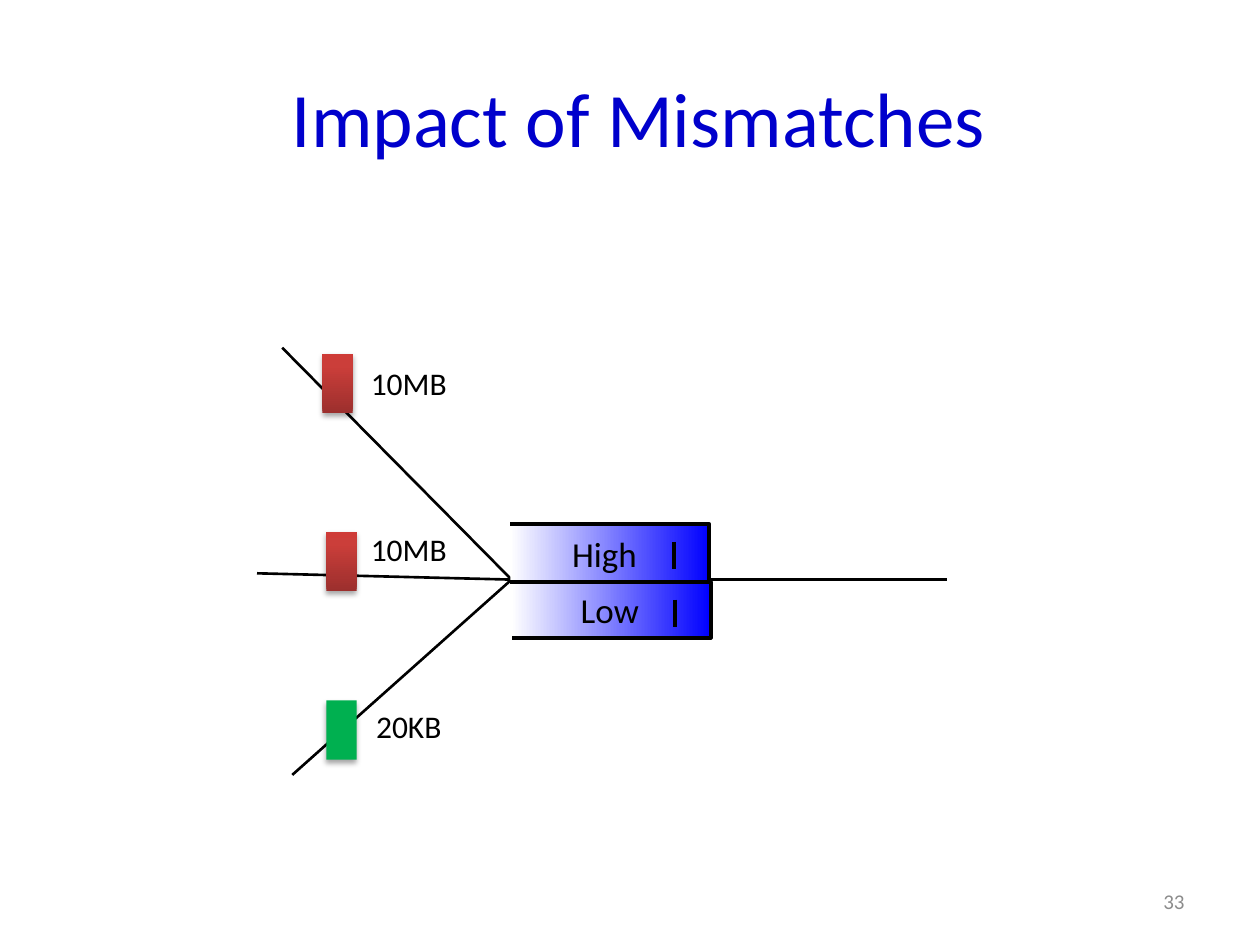
from lxml import etree
from pptx import Presentation
from pptx.dml.color import RGBColor
from pptx.enum import shapes, text
from pptx.oxml import ns
from pptx.util import Inches, Pt

BLACK = RGBColor(0x00, 0x00, 0x00)
WHITE = RGBColor(0xFF, 0xFF, 0xFF)
BLUE = RGBColor(0x00, 0x00, 0xFF)
TITLE_BLUE = RGBColor(0x00, 0x00, 0xCC)
GREEN = RGBColor(0x00, 0xB0, 0x50)
GREY = RGBColor(0x8C, 0x8C, 0x8C)
QUEUE_STOPS = [(0, WHITE), (100, BLUE)]
RED_STOPS = [(0, RGBColor(0x9C, 0x2F, 0x2D)), (80, RGBColor(0xCB, 0x3E, 0x3A)),
             (100, RGBColor(0xCE, 0x3B, 0x37))]

LEFT, CENTER, RIGHT = text.PP_ALIGN.LEFT, text.PP_ALIGN.CENTER, text.PP_ALIGN.RIGHT
TOP, MIDDLE = text.MSO_ANCHOR.TOP, text.MSO_ANCHOR.MIDDLE


def add_element(parent, tag, **attributes):
    values = {name: str(value) for name, value in attributes.items()}
    return etree.SubElement(parent, ns.qn(tag), values)


class Sketch:
    def __init__(self, page, font="Calibri"):
        self.page = page
        self.font = font

    def label(self, words, area, size, color=BLACK, align=CENTER, anchor=TOP):
        box = self.page.shapes.add_textbox(*map(Inches, area))
        frame = box.text_frame
        for name, value in {"word_wrap": True, "vertical_anchor": anchor}.items():
            setattr(frame, name, value)
        para = frame.paragraphs[0]
        para.alignment = align
        span = para.add_run()
        span.text = words
        for name, value in {"name": self.font, "size": Pt(size)}.items():
            setattr(span.font, name, value)
        span.font.color.rgb = color

    def line(self, start, end, width=1.5):
        line = self.page.shapes.add_connector(
            shapes.MSO_CONNECTOR.STRAIGHT, *map(Inches, (*start, *end)))
        line.line.color.rgb = BLACK
        line.line.width = Pt(width)
        add_element(line._element.spPr, "a:effectLst")

    def gradient(self, shape, stops, angle):
        """Fill with (percent, color) stops; angle is counter-clockwise."""
        shape.fill.gradient()
        shape.fill.gradient_angle = angle
        stop_list = shape._element.spPr.find(".//" + ns.qn("a:gsLst"))
        for old in list(stop_list):
            stop_list.remove(old)
        for percent, color in stops:
            stop = add_element(stop_list, "a:gs", pos=percent * 1000)
            add_element(stop, "a:srgbClr", val=color)

    def queue(self, left, top, width, height):
        """Draw a buffer that is open on its left side, with a slot mark."""
        right, bottom = left + width, top + height
        builder = self.page.shapes.build_freeform(Inches(left), Inches(top))
        corners = [(right, top), (right, bottom), (left, bottom)]
        builder.add_line_segments(
            [(Inches(x), Inches(y)) for x, y in corners], close=False)
        shape = builder.convert_to_shape()
        shape.shadow.inherit = False
        self.gradient(shape, QUEUE_STOPS, 0)
        shape.line.color.rgb = BLACK
        shape.line.width = Pt(2.25)
        mark = right - 0.28
        self.line((mark, top + 0.14), (mark, top + 0.36), 2.25)

    def packet(self, left, top, color=None):
        """Draw a flow's packet: plain if a color is given, else shaded red."""
        shape = self.page.shapes.add_shape(
            shapes.MSO_SHAPE.RECTANGLE, *map(Inches, (left, top, 0.24, 0.47)))
        if color is None:
            self.gradient(shape, RED_STOPS, 90)
        else:
            shape.fill.solid()
            shape.fill.fore_color.rgb = color
        shape.line.fill.background()
        shape.shadow.inherit = False
        effects = shape._element.spPr.find(ns.qn("a:effectLst"))
        shadow = add_element(effects, "a:outerShdw", blurRad=Pt(3.1), dist=Pt(1.8),
                             dir=5400000, rotWithShape=0)
        tint = add_element(shadow, "a:srgbClr", val=BLACK)
        add_element(tint, "a:alpha", val=35000)


def main():
    deck = Presentation()
    deck.slide_width, deck.slide_height = Inches(10), Inches(7.5)
    sketch = Sketch(deck.slides.add_slide(deck.slide_layouts[6]))

    switch = (4.06, 4.6)
    sketch.line((5.63, 4.6), (7.52, 4.6))
    for sender in [(2.04, 4.55), (2.32, 6.15), (2.24, 2.76)]:
        sketch.line(sender, switch)

    sketch.label("Impact of Mismatches", (0.57, 0.3, 9, 1.25), 44, TITLE_BLUE,
                 anchor=MIDDLE)

    sketch.queue(4.05, 4.16, 1.58, 0.46)
    sketch.queue(4.06, 4.62, 1.58, 0.44)
    sketch.label("High ", (4.05, 4.18, 1.56, 0.44), 20)
    sketch.label("Low", (4.06, 4.62, 1.56, 0.44), 20)

    flows = [("10MB", 2.84, 2.56, 2.81, None),
             ("10MB", 4.16, 2.59, 4.22, None),
             ("20KB", 5.56, 2.59, 5.56, GREEN)]
    for size, label_top, left, top, color in flows:
        sketch.packet(left, top, color)
        sketch.label(size, (2.83, label_top, 0.83, 0.4), 18)

    sketch.label("33", (7.17, 6.95, 2.33, 0.4), 12, GREY, RIGHT, MIDDLE)
    deck.save("out.pptx")


if __name__ == "__main__":
    main()
